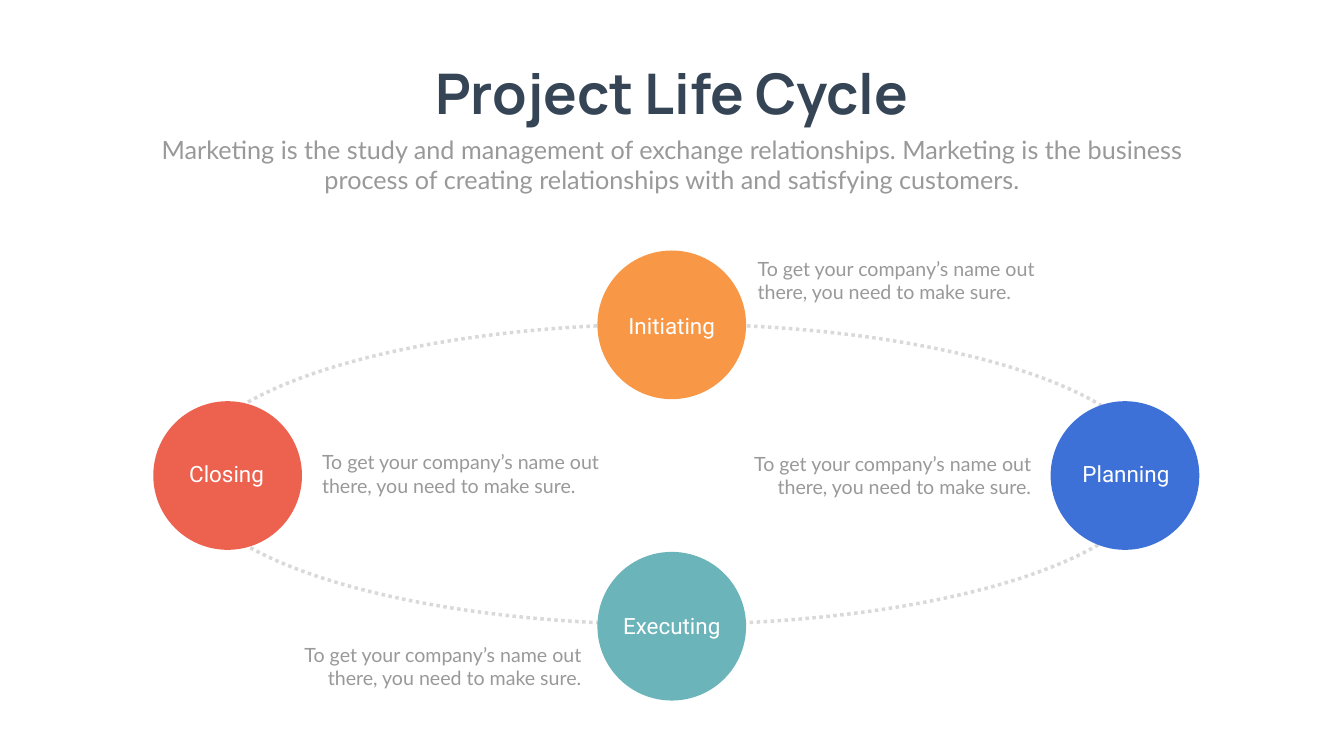
from dataclasses import dataclass

from pptx import Presentation
from pptx import util as u
from pptx.dml.color import RGBColor
from pptx.enum import dml, shapes, text


@dataclass(frozen=True)
class Theme:
    ink: str = "364556"
    muted: str = "999999"
    track: str = "D9D9D9"
    white: str = "FFFFFF"
    orange: str = "F89746"
    teal: str = "6AB4BA"
    blue: str = "3D71D7"
    red: str = "ED614F"
    title_font: str = "Manrope"
    body_font: str = "Lato"
    label_font: str = "Roboto"
    title_size: int = 80
    subtitle_size: int = 36
    label_size: int = 32
    note_size: int = 28


THEME = Theme()
LEFT, CENTER, RIGHT = text.PP_ALIGN.LEFT, text.PP_ALIGN.CENTER, text.PP_ALIGN.RIGHT
DIAMETER = 2.95
NOTE_SIZE = (5.9, 1.04)
LABEL_SIZE = (DIAMETER, 0.64)
NOTE = "To get your company’s name out there, you need to make sure."
STAGES = [
    ("Initiating", THEME.orange, (11.85, 4.97), (11.85, 6.14), (14.93, 5.04), LEFT),
    ("Executing", THEME.teal, (11.85, 10.95), (11.85, 12.1), (5.73, 12.7), RIGHT),
    ("Planning", THEME.blue, (20.84, 7.96), (20.86, 9.08), (14.65, 8.91), RIGHT),
    ("Closing", THEME.red, (3.04, 7.96), (3.02, 9.08), (6.29, 8.88), LEFT),
]


def write(sp, content, *, font, size, color, bold=False, align=LEFT, wrap=True):
    tf = sp.text_frame
    tf.text = content
    tf.word_wrap = wrap
    tf.auto_size = text.MSO_AUTO_SIZE.SHAPE_TO_FIT_TEXT
    tf.vertical_anchor = text.MSO_ANCHOR.TOP
    p = tf.paragraphs[0]
    p.alignment = align
    p.space_before = u.Pt(0)
    r = p.runs[0]
    r.font.name = font
    r.font.size = u.Pt(size)
    r.font.bold = bold
    r.font.color.rgb = RGBColor.from_string(color)


class SlideBuilder:
    def __init__(self, slide, theme):
        self.s = slide
        self.theme = theme

    def placeholder(self, idx, at, content, **fmt):
        sp = self.s.placeholders[idx]
        sp.left, sp.top, sp.width, sp.height = map(u.Inches, at)
        write(sp, content, align=CENTER, **fmt)

    def title(self, at, content):
        t = self.theme
        self.placeholder(0, at, content, font=t.title_font, size=t.title_size,
                         color=t.ink, bold=True, wrap=False)

    def subtitle(self, at, content):
        t = self.theme
        self.placeholder(1, at, content, font=t.body_font, size=t.subtitle_size, color=t.muted)

    def ellipse(self, at):
        sp = self.s.shapes.add_shape(shapes.MSO_SHAPE.OVAL, *map(u.Inches, at))
        sp.shadow.inherit = False
        return sp

    def track(self, at):
        sp = self.ellipse(at)
        sp.fill.background()
        sp.line.color.rgb = RGBColor.from_string(self.theme.track)
        sp.line.width = u.Pt(5)
        sp.line.dash_style = dml.MSO_LINE.ROUND_DOT

    def circle(self, pos, color):
        sp = self.ellipse((*pos, DIAMETER, DIAMETER))
        sp.fill.solid()
        sp.fill.fore_color.rgb = RGBColor.from_string(color)
        sp.line.fill.background()

    def textbox(self, at, content, **fmt):
        write(self.s.shapes.add_textbox(*map(u.Inches, at)), content, **fmt)

    def label(self, pos, content):
        t = self.theme
        self.textbox((*pos, *LABEL_SIZE), content, font=t.label_font,
                     size=t.label_size, color=t.white, align=CENTER)

    def note(self, pos, content, align):
        t = self.theme
        self.textbox((*pos, *NOTE_SIZE), content, font=t.body_font,
                     size=t.note_size, color=t.muted, align=align)


def main():
    prs = Presentation()
    prs.slide_width, prs.slide_height = u.Inches(26.66), u.Inches(15)
    b = SlideBuilder(prs.slides.add_slide(prs.slide_layouts[0]), THEME)
    b.title((8.35, 1.12, 9.95, 1.45), "Project Life Cycle")
    b.subtitle((2.92, 2.61, 20.82, 1.31),
               "Marketing is the study and management of exchange relationships. "
               "Marketing is the business process of creating relationships with "
               "and satisfying customers.")
    b.track((3.74, 6.43, 19.17, 5.96))
    for name, color, circle_pos, label_pos, note_pos, align in STAGES:
        b.circle(circle_pos, color)
        b.label(label_pos, name)
        b.note(note_pos, NOTE, align)
    prs.save("out.pptx")


if __name__ == "__main__":
    main()
